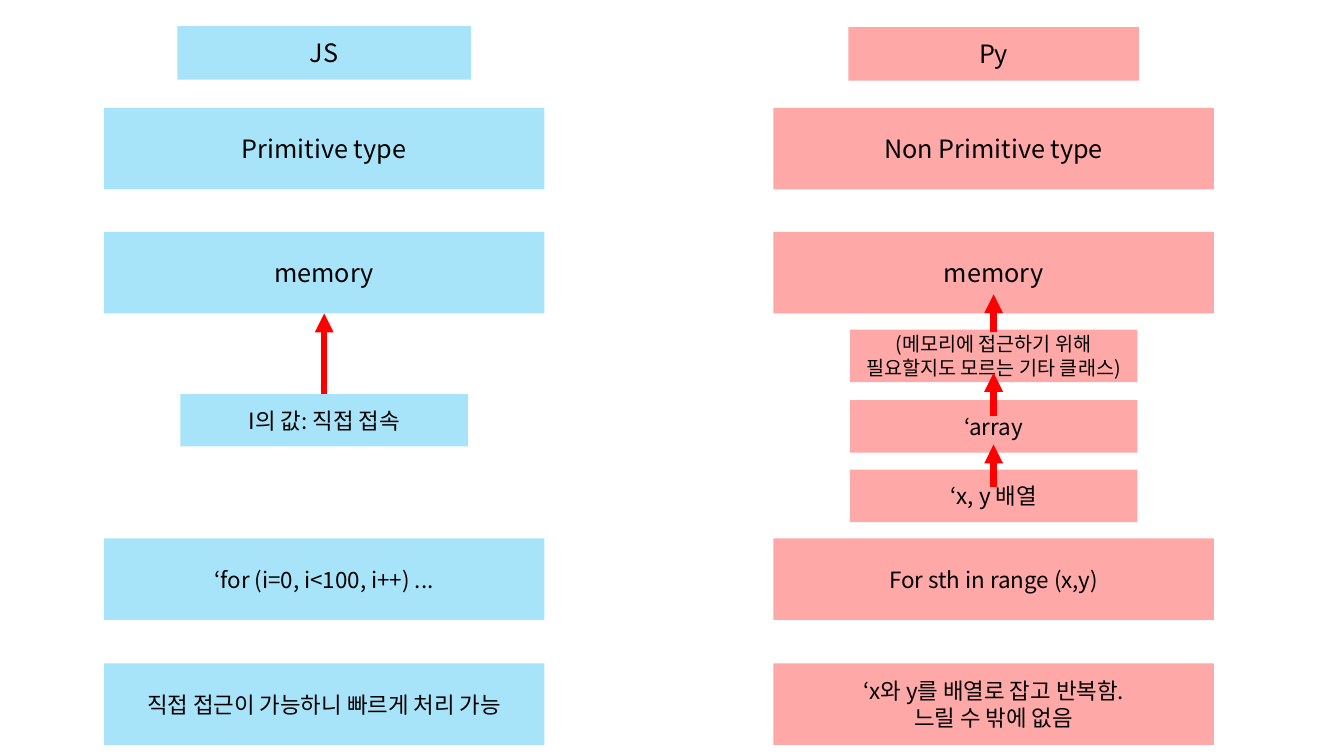
from pptx import Presentation
from pptx.dml.color import RGBColor as Rgb
from pptx.enum.shapes import MSO_CONNECTOR as Link, MSO_SHAPE as Kind
from pptx.enum.text import MSO_ANCHOR as Anchor, PP_ALIGN as Align
from pptx.oxml.ns import qn
from pptx.util import Inches, Pt
from lxml.etree import SubElement as Sub

FONT = "Noto Sans CJK KR"
HUES = {"js": "00B0F0", "py": "FF0000", "arrow": "FF0000", "text": "000000"}
MIDS = {"js": 3.215, "py": 9.855}
ROWS = [(1.07, 18), (2.3, 18), (5.34, 16), (6.58, 16)]
WIDE = (4.37, 0.81)
SLIM = (2.85, 0.52)
HEADS = [("js", 0.26, (2.91, 0.53), "JS"), ("py", 0.27, (2.88, 0.53), "Py")]
CELLS = {
    "js": ["Primitive type", "memory", "‘for (i=0, i<100, i++) ...",
           "직접 접근이 가능하니 빠르게 처리 가능"],
    "py": ["Non Primitive type", "memory", "For sth in range (x,y)",
           "‘x와 y를 배열로 잡고 반복함.\n느릴 수 밖에 없음"],
}
STEPS = [
    (3.27, 14, "(메모리에 접근하기 위해 필요할지도 모르는 기타 클래스)"),
    (3.97, 16, "‘array"),
    (4.66, 16, "‘x, y 배열"),
]
HOPS = [(3.29, 2.92), (4.13, 3.7), (4.83, 4.41)]


def add_box(slide, side, top, dims, text, size):
    """Add a pale box centred on its column."""
    wide, high = dims
    box = slide.shapes.add_shape(
        Kind.RECTANGLE, Inches(MIDS[side] - wide / 2), Inches(top),
        Inches(wide), Inches(high))
    box.shadow.inherit = False
    box.fill.solid()
    box.fill.fore_color.rgb = Rgb.from_string(HUES[side])
    tint = box._element.spPr.find(".//" + qn("a:srgbClr"))
    Sub(tint, qn("a:alpha"), val="34000")
    box.line.fill.background()
    frame = box.text_frame
    frame.word_wrap = True
    frame.vertical_anchor = Anchor.MIDDLE
    frame.text = text
    for para in frame.paragraphs:
        para.alignment = Align.CENTER
        font = para.font
        font.size = Pt(size)
        font.color.rgb = Rgb.from_string(HUES["text"])
        font.name = FONT
        Sub(font._element, qn("a:ea"), typeface=FONT)
    return box


def add_arrow(slide, side, start, end):
    """Add a thick arrow up the middle of a column."""
    mid = Inches(MIDS[side])
    arrow = slide.shapes.add_connector(
        Link.STRAIGHT, mid, Inches(start), mid, Inches(end))
    arrow.line.color.rgb = Rgb.from_string(HUES["arrow"])
    arrow.line.width = Pt(4.5)
    Sub(arrow.line._get_or_add_ln(), qn("a:tailEnd"), type="triangle")
    Sub(arrow._element.spPr, qn("a:effectLst"))
    return arrow


def main():
    """Build the slide and save it."""
    deck = Presentation()
    deck.slide_width, deck.slide_height = Inches(13.33), Inches(7.5)
    slide = deck.slides.add_slide(deck.slide_layouts[6])
    for side, top, dims, text in HEADS:
        add_box(slide, side, top, dims, text, 18)
    grid = {}
    for side, texts in CELLS.items():
        grid[side] = [add_box(slide, side, top, WIDE, text, size)
                      for (top, size), text in zip(ROWS, texts)]
    value = add_box(slide, "js", 3.91, SLIM, "I의 값: 직접 접속", 16)
    direct = add_arrow(slide, "js", 3.91, 3.11)
    direct.begin_connect(value, 0)
    direct.end_connect(grid["js"][1], 2)
    for top, size, text in STEPS:
        add_box(slide, "py", top, SLIM, text, size)
    for start, end in HOPS:
        add_arrow(slide, "py", start, end)
    deck.save("out.pptx")


if __name__ == "__main__":
    main()
